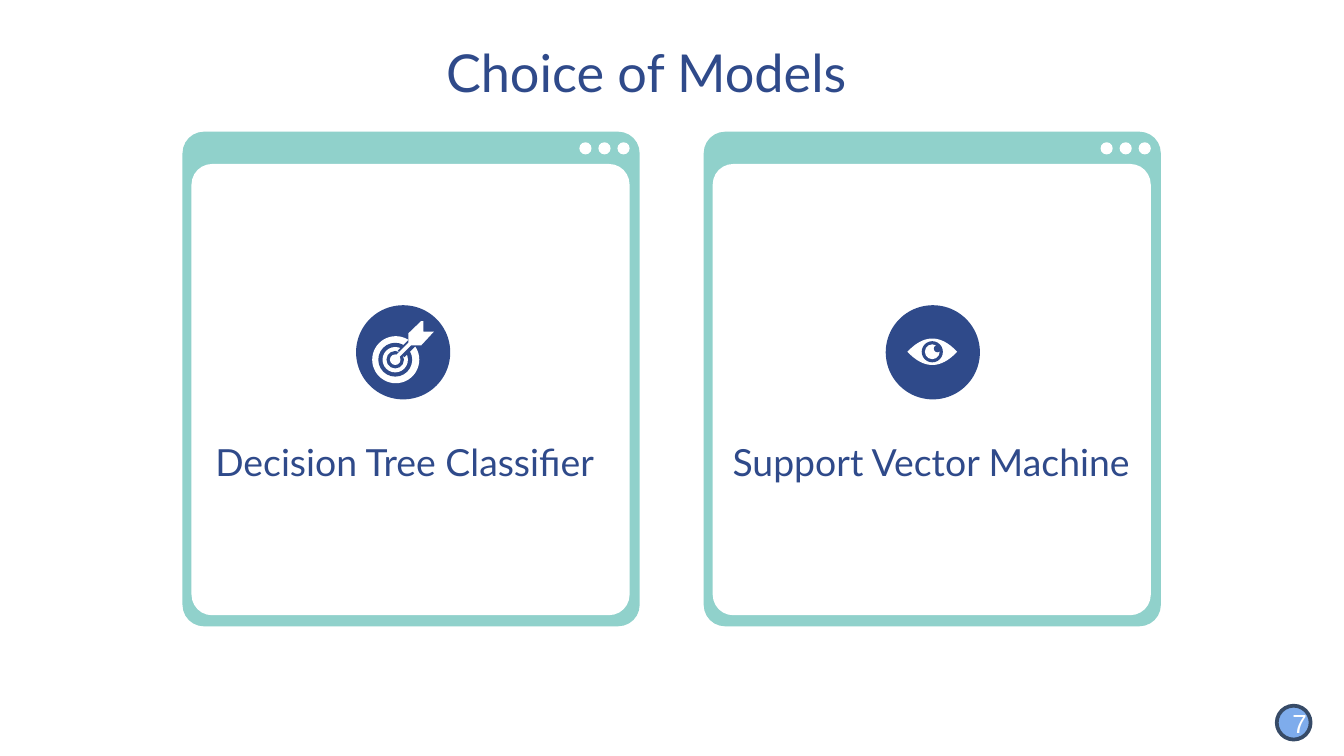
from pptx import Presentation
from pptx.dml.color import RGBColor
from pptx.enum.shapes import MSO_SHAPE, MSO_CONNECTOR
from pptx.enum.text import MSO_ANCHOR, PP_ALIGN
from pptx.oxml.ns import qn
from pptx.util import Cm, Pt

INK = {"navy": "2F4A8A", "mint": "90D1CB", "white": "FFFFFF",
       "sky": "7EACEC", "slate": "374B67"}
RGB = {name: RGBColor.from_string(code) for name, code in INK.items()}

deck = Presentation()
deck.slide_width, deck.slide_height = Cm(25.4), Cm(14.29)
slide = deck.slides.add_slide(deck.slide_layouts[6])
shapes = slide.shapes


def paint(shape, ink):
    shape.shadow.inherit = False
    shape.fill.solid()
    shape.fill.fore_color.rgb = RGB[ink]
    shape.line.fill.background()
    return shape


def label(box, text, size, font, ink, align, anchor):
    frame = box.text_frame
    frame.word_wrap = True
    frame.vertical_anchor = anchor
    frame.text = text
    para = frame.paragraphs[0]
    para.alignment = align
    run = para.runs[0]
    run.font.name, run.font.size = font, Pt(size)
    run.font.color.rgb = RGB[ink]


# Window cards: frame, pane, three dots, caption
names = ["Decision Tree Classifier", "Support Vector Machine"]
for i, name in enumerate(names):
    left = 3.45 + i * 9.85
    for x, y, wide, high, ink in [(left, 2.49, 8.64, 9.35, "mint"),
                                  (left + 0.17, 3.1, 8.28, 8.53, "white")]:
        card = paint(shapes.add_shape(MSO_SHAPE.ROUNDED_RECTANGLE, Cm(x), Cm(y),
                                      Cm(wide), Cm(high)), ink)
        card.adjustments[0] = 0.047
    for n in range(3):
        paint(shapes.add_shape(MSO_SHAPE.OVAL, Cm(left + 7.5 + n * 0.36), Cm(2.69),
                               Cm(0.23), Cm(0.23)), "white")
    box = shapes.add_textbox(Cm(3.51 + i * 9.95), Cm(8.05), Cm(8.28), Cm(1.3))
    box.text_frame.margin_top = box.text_frame.margin_bottom = Cm(0.25)
    label(box, name, 20, "Lato", "navy", PP_ALIGN.CENTER, MSO_ANCHOR.TOP)

# Icon discs, target rings and eye: centre, diameter, colour
target = [(7.62, 6.66, 1.78, "navy"), (7.48, 6.8, 0.89, "white"),
          (7.47, 6.8, 0.64, "navy"), (7.47, 6.8, 0.48, "white"),
          (7.47, 6.8, 0.33, "navy"), (7.47, 6.8, 0.2, "white")]
lens = [(17.62 + 0.047 * k, 6.65 + side * 0.25 * (1 - (k / 10) ** 2))
        for side, steps in [(-1, range(-10, 11)), (1, range(9, -10, -1))]
        for k in steps]
eye = [(17.62, 6.65, 0.4, "navy"), (17.62, 6.65, 0.28, "white"),
       (17.72, 6.59, 0.14, "navy")]
dart = [(7.96, 6.07), (7.72, 6.3), (7.72, 6.48), (7.49, 6.71), (7.54, 6.76),
        (7.77, 6.53), (7.96, 6.53), (8.2, 6.27), (8, 6.27), (8, 6.07)]

for discs, points in [(target, dart), ([(17.63, 6.66, 1.78, "navy")], lens),
                      (eye, [])]:
    for x, y, size, ink in discs:
        paint(shapes.add_shape(MSO_SHAPE.OVAL, Cm(x - size / 2), Cm(y - size / 2),
                               Cm(size), Cm(size)), ink)
    if points is dart:
        # Gap in the rings around the shaft
        gap = shapes.add_connector(MSO_CONNECTOR.STRAIGHT, Cm(7.58), Cm(6.69),
                                   Cm(7.87), Cm(6.4))
        gap.line.color.rgb, gap.line.width = RGB["navy"], Pt(5)
        props = gap._element.spPr
        props.append(props.makeelement(qn("a:effectLst"), {}))
    if points:
        path = [(Cm(x), Cm(y)) for x, y in points]
        form = shapes.build_freeform(*path[0])
        form.add_line_segments(path[1:])
        paint(form.convert_to_shape(), "white")

# Heading
box = shapes.add_textbox(Cm(8.18), Cm(0.41), Cm(9.88), Cm(1.78))
box.text_frame.margin_top = box.text_frame.margin_bottom = Cm(0.25)
label(box, "Choice of Models", 28, "Lato", "navy", PP_ALIGN.LEFT, MSO_ANCHOR.BOTTOM)

# Page badge
badge = paint(shapes.add_shape(MSO_SHAPE.OVAL, Cm(24.13), Cm(13.34),
                               Cm(0.64), Cm(0.64)), "sky")
badge.line.color.rgb, badge.line.width = RGB["slate"], Pt(2)
label(badge, "7", 14, "Arial", "white", PP_ALIGN.CENTER, MSO_ANCHOR.MIDDLE)

deck.save("out.pptx")
